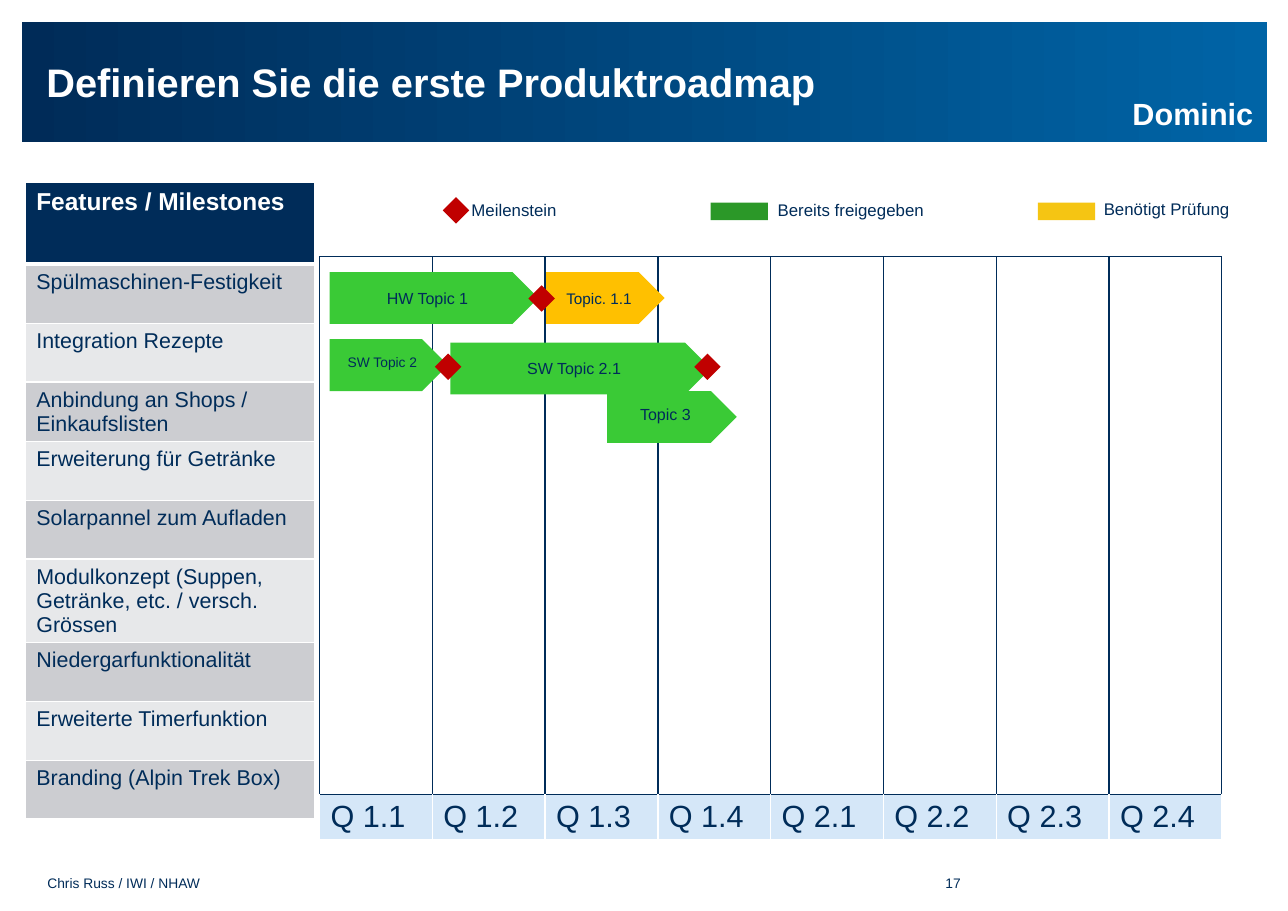
from dataclasses import dataclass

from lxml import etree
from pptx import Presentation
from pptx import util as u
from pptx.dml.color import RGBColor
from pptx.enum import shapes, text
from pptx.oxml import ns


@dataclass(frozen=True)
class Theme:
    font: str = "Arial"
    navy: str = "002C59"
    banner_dark: str = "002B58"
    banner_light: str = "0064A6"
    white: str = "FFFFFF"
    quarter: str = "D5E7F8"
    stripes: tuple = ("CCCDD1", "E7E8EA")
    released: str = "3ACA36"
    review: str = "FFC000"
    released_key: str = "2B9828"
    review_key: str = "F5C513"
    milestone: str = "C00000"
    title: float = 26
    large: float = 20
    header: float = 16
    body: float = 14
    legend: float = 11
    bar: float = 10.5
    small: float = 9


theme = Theme()


def write(frame, words, size, color=theme.navy, bold=False,
          align=text.PP_ALIGN.LEFT, anchor=text.MSO_ANCHOR.TOP, insets=None):
    """Set one paragraph; insets are left, top, right, bottom in inches."""
    frame.word_wrap = True
    frame.vertical_anchor = anchor
    if insets:
        (frame.margin_left, frame.margin_top,
         frame.margin_right, frame.margin_bottom) = map(u.Inches, insets)
    para = frame.paragraphs[0]
    para.text = words
    para.alignment = align
    para.font.name = theme.font
    para.font.size = u.Pt(size)
    para.font.bold = bold
    para.font.color.rgb = RGBColor.from_string(color)


def style_cell(cell, fill, **edges):
    """Edges map L, R, T, B to (colour, points); no fill means transparent."""
    properties = cell._tc.get_or_add_tcPr()
    for side in "LRTB":
        color, points = edges[side]
        line = etree.SubElement(properties, ns.qn(f"a:ln{side}"), w=str(u.Pt(points)))
        solid = etree.SubElement(line, ns.qn("a:solidFill"))
        etree.SubElement(solid, ns.qn("a:srgbClr"), val=color)
    if fill:
        cell.fill.solid()
        cell.fill.fore_color.rgb = RGBColor.from_string(fill)
    else:
        cell.fill.background()


deck = Presentation()
deck.slide_width, deck.slide_height = u.Inches(11.69), u.Inches(8.27)
page = deck.slides.add_slide(deck.slide_layouts[5])
MIDDLE = text.MSO_ANCHOR.MIDDLE
FLUSH = (0, 0, 0, 0)

# Banner and title
title = page.shapes.title
title.left, title.top, title.width, title.height = map(u.Inches, (0.42, 0.28, 10.86, 0.92))
write(title.text_frame, "Definieren Sie die erste Produktroadmap", theme.title,
      theme.white, True, anchor=MIDDLE, insets=FLUSH)
title.text_frame.auto_size = text.MSO_AUTO_SIZE.NONE

banner = page.shapes.add_shape(shapes.MSO_SHAPE.RECTANGLE,
                               *map(u.Inches, (0.2, 0.2, 11.3, 1.09)))
banner.shadow.inherit = False
banner.line.fill.background()
banner.fill.gradient()
banner.fill.gradient_angle = 0
for stop, color in zip(banner.fill.gradient_stops, (theme.banner_dark, theme.banner_light)):
    stop.color.rgb = RGBColor.from_string(color)
title.element.addprevious(banner.element)

# Quarter grid
quarters = [f"Q {year}.{quarter}" for year in (1, 2) for quarter in range(1, 5)]
grid_left, grid_top, grid_width = 2.9, 2.33, 8.19
column = grid_width / len(quarters)
grid = page.shapes.add_table(2, len(quarters), *map(
    u.Inches, (grid_left, grid_top, grid_width, 5.27))).table
grid.first_row = grid.horz_banding = False
grid.rows[0].height, grid.rows[1].height = u.Inches(4.88), u.Inches(0.39)
navy_edge, white_edge = (theme.navy, 1), (theme.white, 1)
for index, quarter in enumerate(quarters):
    style_cell(grid.cell(0, index), None, **dict.fromkeys("LRTB", navy_edge))
    label = grid.cell(1, index)
    write(label.text_frame, quarter, theme.large)
    style_cell(label, theme.quarter, L=white_edge, R=white_edge, T=navy_edge, B=white_edge)

# Feature list
features = [
    "Features / Milestones", "Spülmaschinen-Festigkeit", "Integration Rezepte",
    "Anbindung an Shops / Einkaufslisten", "Erweiterung für Getränke",
    "Solarpannel zum Aufladen", "Modulkonzept (Suppen, Getränke, etc. / versch. Grössen",
    "Niedergarfunktionalität", "Erweiterte Timerfunktion", "Branding (Alpin Trek Box)",
]
feature_table = page.shapes.add_table(len(features), 1, *map(
    u.Inches, (0.23, 1.66, 2.63, 5.85))).table
feature_table.first_row = feature_table.horz_banding = False
heavy_edge = (theme.white, 3)
for index, feature in enumerate(features):
    is_header = index == 0
    feature_table.rows[index].height = u.Inches(0.74) if is_header else u.Pt(38.5)
    cell = feature_table.cell(index, 0)
    write(cell.text_frame, feature, theme.header if is_header else theme.body,
          theme.white if is_header else theme.navy, is_header)
    style_cell(cell, theme.navy if is_header else theme.stripes[(index - 1) % 2],
               L=white_edge, R=white_edge,
               T=heavy_edge if index == 1 else white_edge,
               B=heavy_edge if is_header else white_edge)

# Bars: start and length in quarters, top in inches
bars = [
    ("HW Topic 1", 0.09, 1.85, 2.47, theme.released, theme.bar, (0, 0.05, 0, 0.05)),
    ("Topic. 1.1", 2.01, 1.05, 2.47, theme.review, 10, (0, 0.05, 0, 0.05)),
    ("SW Topic 2.1", 1.16, 2.31, 3.11, theme.released, theme.bar, (0.1, 0.05, 0.1, 0.05)),
    ("Topic 3", 2.55, 1.15, 3.55, theme.released, theme.bar, (0, 0, 0, 0.05)),
    ("SW Topic 2", 0.09, 1.05, 3.08, theme.released, theme.small, (0, 0, 0, 0.05)),
]
marks = [(shapes.MSO_SHAPE.PENTAGON, grid_left + start * column, top, length * column, 0.47,
          fill, (words, size, insets))
         for words, start, length, top, fill, size, insets in bars]

# Milestones: centre in quarters and inches; the last belongs to the legend
diamond = 0.24
for center, middle in [(1.97, 2.71), (1.14, 3.33), (3.44, 3.33), (1.21, 1.91)]:
    marks.append((shapes.MSO_SHAPE.DIAMOND, grid_left + center * column - diamond / 2,
                  middle - diamond / 2, diamond, diamond, theme.milestone, None))
for left, fill in [(6.45, theme.released_key), (9.42, theme.review_key)]:
    marks.append((shapes.MSO_SHAPE.RECTANGLE, left, 1.84, 0.52, 0.16, fill, None))

for kind, left, top, width, height, fill, caption in marks:
    mark = page.shapes.add_shape(kind, *map(u.Inches, (left, top, width, height)))
    mark.shadow.inherit = False
    mark.fill.solid()
    mark.fill.fore_color.rgb = RGBColor.from_string(fill)
    mark.line.fill.background()
    if caption:
        words, size, insets = caption
        write(mark.text_frame, words, size, align=text.PP_ALIGN.CENTER,
              anchor=MIDDLE, insets=insets)

# Legend, name and footer
labels = [
    ("Meilenstein", (4.18, 1.76, 1.57, 0.29), dict(size=theme.legend)),
    ("Bereits freigegeben", (6.96, 1.76, 1.57, 0.29), dict(size=theme.legend)),
    ("Benötigt Prüfung", (9.92, 1.75, 1.57, 0.29), dict(size=theme.legend)),
    ("Dominic", (10.18, 0.81, 1.39, 0.44),
     dict(size=theme.large, color=theme.white, bold=True)),
    ("Chris Russ / IWI / NHAW", (0.43, 7.94, 1.65, 0.15),
     dict(size=theme.small, anchor=MIDDLE, insets=FLUSH)),
    ("17", (7.85, 7.94, 0.87, 0.15),
     dict(size=theme.small, anchor=MIDDLE, insets=FLUSH, align=text.PP_ALIGN.RIGHT)),
]
for words, place, style in labels:
    box = page.shapes.add_textbox(*map(u.Inches, place))
    write(box.text_frame, words, **style)

deck.save("out.pptx")
